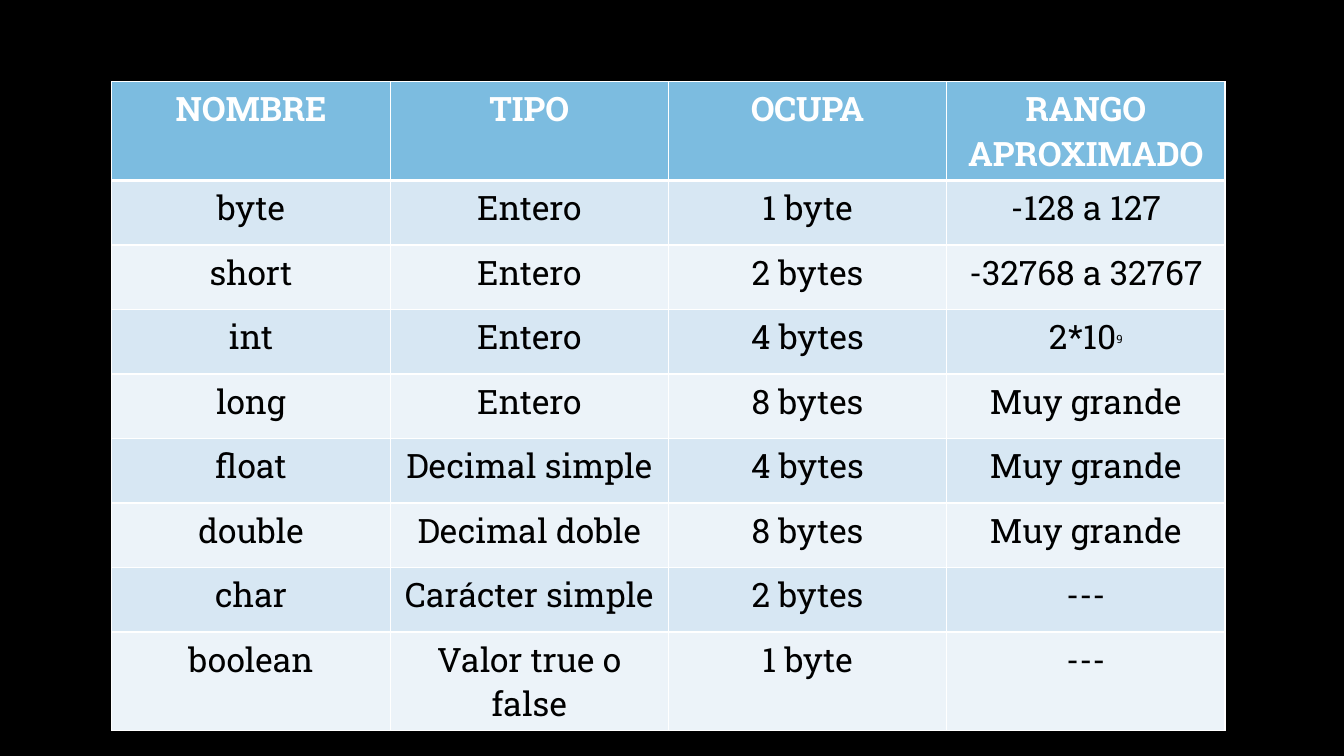
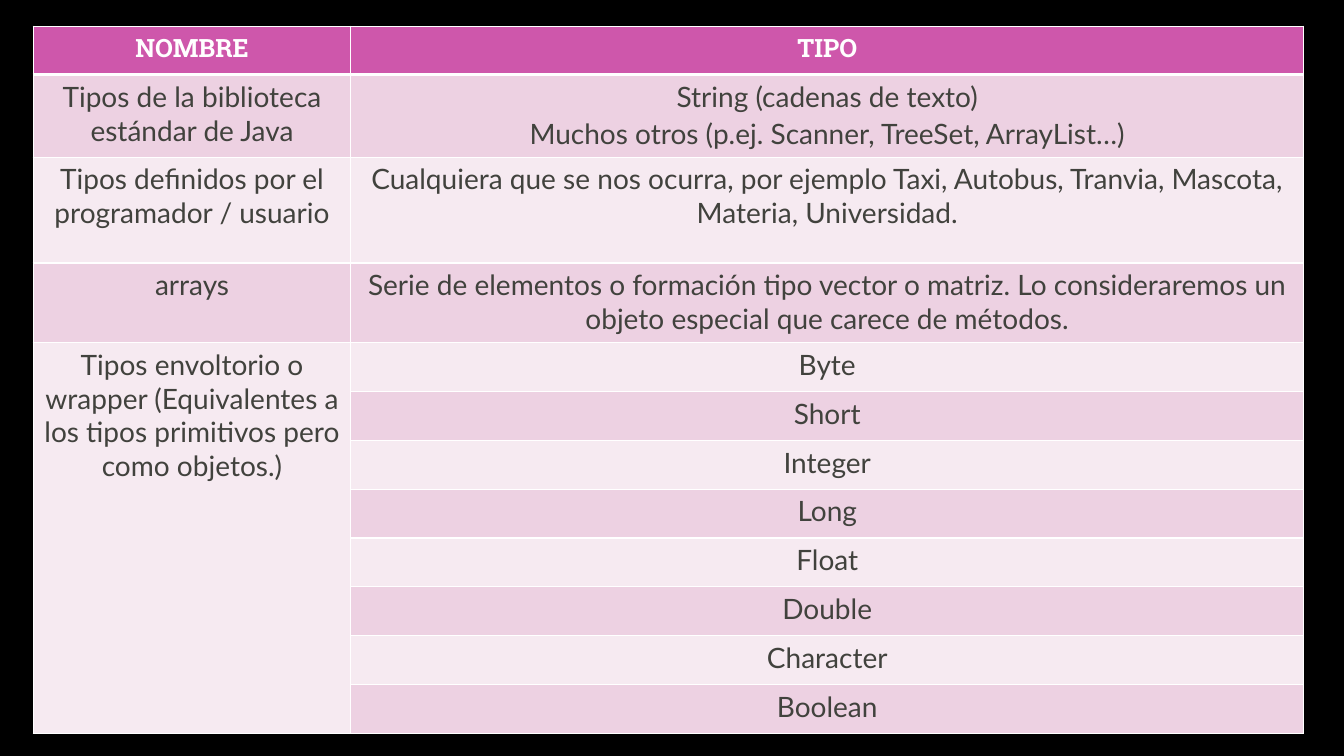
from dataclasses import dataclass

from lxml import etree
from pptx import Presentation
from pptx.dml.color import RGBColor
from pptx.enum import text
from pptx.oxml import ns
from pptx.util import Inches, Pt


@dataclass(frozen=True)
class TextStyle:
    font: str
    size: float
    color: str
    bold: bool = False
    side_margin: float = 0.08
    space_after: float = 2.2


@dataclass(frozen=True)
class TableStyle:
    header: TextStyle
    body: TextStyle
    header_fill: str
    band_fills: tuple


@dataclass(frozen=True)
class Theme:
    background: str = "000000"
    border: str = "FFFFFF"
    border_width: float = 1
    header_rule_width: float = 3
    vertical_margin: float = 0.05
    exponent_size: float = 14
    exponent_raise: int = 30000
    primitives: TableStyle = TableStyle(
        header=TextStyle("Roboto Slab", 24, "FFFFFF", bold=True),
        body=TextStyle("Roboto Slab", 24, "000000"),
        header_fill="7CBCE0",
        band_fills=("D7E7F3", "ECF3F9"),
    )
    objects: TableStyle = TableStyle(
        header=TextStyle("Roboto Slab", 18, "FFFFFF", True, 0.1, 0),
        body=TextStyle("Lato", 20, "41423D"),
        header_fill="CE57AB",
        band_fills=("EDD1E2", "F6EAF1"),
    )


THEME = Theme()

PRIMITIVE_TYPES = [
    ("NOMBRE", "TIPO", "OCUPA", "RANGO APROXIMADO"),
    ("byte", "Entero", "1 byte", "-128 a 127"),
    ("short", "Entero", "2 bytes", "-32768 a 32767"),
    ("int", "Entero", "4 bytes", "2*10^9"),
    ("long", "Entero", "8 bytes", "Muy grande"),
    ("float", "Decimal simple", "4 bytes", "Muy grande"),
    ("double", "Decimal doble", "8 bytes", "Muy grande"),
    ("char", "Carácter simple", "2 bytes", "---"),
    ("boolean", "Valor true o false", "1 byte", "---"),
]

WRAPPERS = ["Byte", "Short", "Integer", "Long", "Float", "Double", "Character", "Boolean"]

OBJECT_TYPES = [
    ("NOMBRE", "TIPO"),
    (
        "Tipos de la biblioteca estándar de Java",
        "String (cadenas de texto)\nMuchos otros (p.ej. Scanner, TreeSet, ArrayList…)",
    ),
    (
        "Tipos definidos por el programador / usuario",
        "Cualquiera que se nos ocurra, por ejemplo Taxi, Autobus, Tranvia, Mascota, "
        "Materia, Universidad.",
    ),
    (
        "arrays",
        "Serie de elementos o formación tipo vector o matriz. Lo consideraremos un "
        "objeto especial que carece de métodos.",
    ),
    (
        "Tipos envoltorio o wrapper (Equivalentes a los tipos primitivos pero como objetos.)",
        WRAPPERS[0],
    ),
    *(("", wrapper) for wrapper in WRAPPERS[1:]),
]


def set_borders(cell, bottom_width):
    properties = cell._tc.get_or_add_tcPr()
    widths = {side: THEME.border_width for side in ("lnL", "lnR", "lnT")}
    widths["lnB"] = bottom_width
    for position, (side, width) in enumerate(widths.items()):
        line = etree.Element(ns.qn(f"a:{side}"), w=str(Pt(width)))
        fill = etree.SubElement(line, ns.qn("a:solidFill"))
        etree.SubElement(fill, ns.qn("a:srgbClr"), val=THEME.border)
        properties.insert(position, line)


def write_paragraph(paragraph, wording, style):
    paragraph.alignment = text.PP_ALIGN.CENTER
    paragraph.space_after = Pt(style.space_after)
    paragraph.font.name = style.font
    paragraph.font.size = Pt(style.size)
    paragraph.font.bold = style.bold
    paragraph.font.color.rgb = RGBColor.from_string(style.color)
    base, _, exponent = wording.partition("^")
    paragraph.add_run().text = base
    if exponent:
        raised = paragraph.add_run()
        raised.text = exponent
        raised.font.size = Pt(THEME.exponent_size)
        raised._r.get_or_add_rPr().set("baseline", str(THEME.exponent_raise))


def fill_cell(cell, wording, style, fill, bottom_width):
    cell.margin_left = cell.margin_right = Inches(style.side_margin)
    cell.margin_top = cell.margin_bottom = Inches(THEME.vertical_margin)
    cell.fill.solid()
    cell.fill.fore_color.rgb = RGBColor.from_string(fill)
    set_borders(cell, bottom_width)
    if not wording:
        return
    frame = cell.text_frame
    for index, line in enumerate(wording.split("\n")):
        paragraph = frame.add_paragraph() if index else frame.paragraphs[0]
        write_paragraph(paragraph, line, style)


def add_type_table(slide, box, entries, column_shares, row_heights, style):
    left, top, width = box
    table = slide.shapes.add_table(
        len(entries), len(column_shares),
        Inches(left), Inches(top), Inches(width), Inches(sum(row_heights)),
    ).table
    table.horz_banding = False
    for column, share in zip(table.columns, column_shares):
        column.width = Inches(width * share)
    for row, height in zip(table.rows, row_heights):
        row.height = Inches(height)
    for row_index, entry in enumerate(entries):
        if row_index == 0:
            look = style.header, style.header_fill, THEME.header_rule_width
        else:
            band = style.band_fills[(row_index - 1) % 2]
            look = style.body, band, THEME.border_width
        for column_index, wording in enumerate(entry):
            fill_cell(table.cell(row_index, column_index), wording, *look)
    return table


def build_primitives_slide(slide):
    heights = [0.98] + [0.64] * (len(PRIMITIVE_TYPES) - 1)
    add_type_table(
        slide, (1.11, 0.81, 11.04), PRIMITIVE_TYPES, [0.25] * 4, heights, THEME.primitives
    )


def build_objects_slide(slide):
    heights = [0.48, 0.82, 1.05, 0.79] + [0.485] * len(WRAPPERS)
    table = add_type_table(
        slide, (0.33, 0.26, 12.6), OBJECT_TYPES, [0.25, 0.75], heights, THEME.objects
    )
    last_row = len(OBJECT_TYPES) - 1
    first_wrapper_row = len(OBJECT_TYPES) - len(WRAPPERS)
    table.cell(first_wrapper_row, 0).merge(table.cell(last_row, 0))


def main():
    deck = Presentation()
    deck.slide_width, deck.slide_height = Inches(13.33), Inches(7.5)
    backdrop = deck.slide_master.background.fill
    backdrop.solid()
    backdrop.fore_color.rgb = RGBColor.from_string(THEME.background)
    blank = deck.slide_layouts.get_by_name("Blank")
    for build in (build_primitives_slide, build_objects_slide):
        build(deck.slides.add_slide(blank))
    deck.save("out.pptx")


if __name__ == "__main__":
    main()
